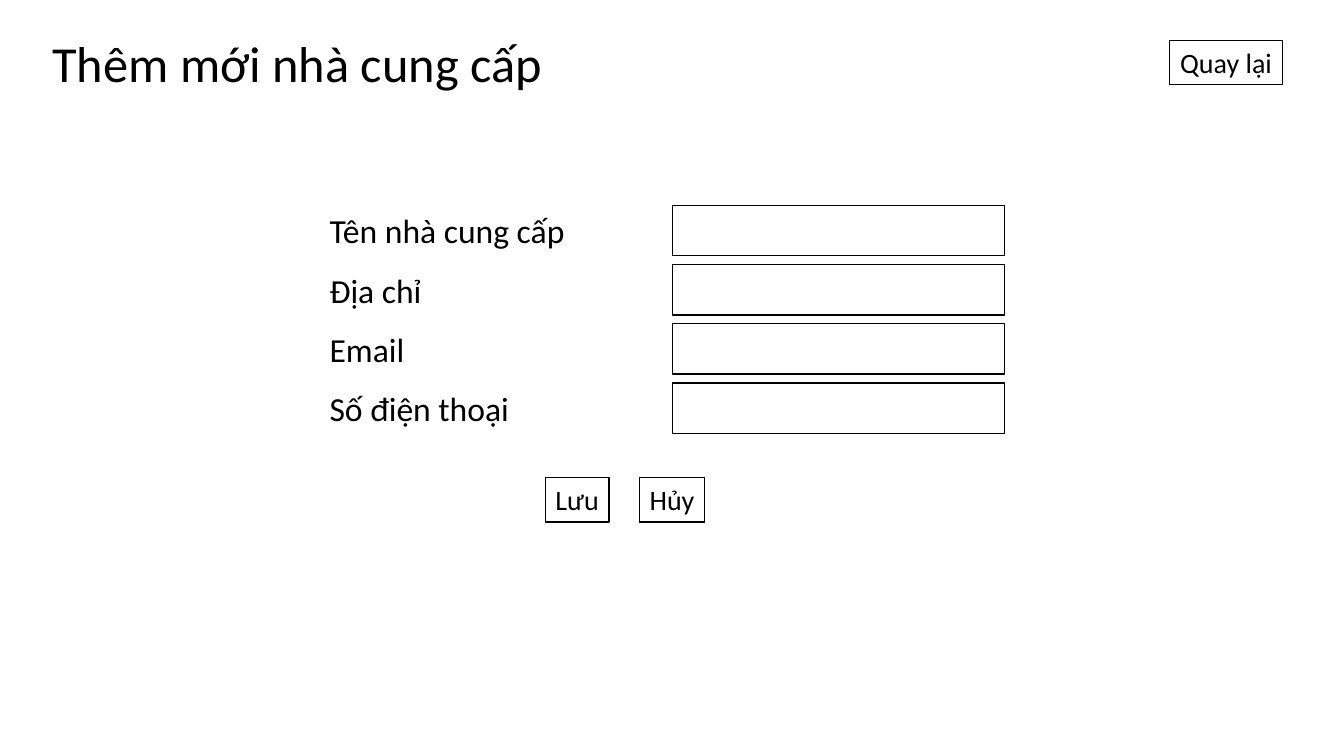
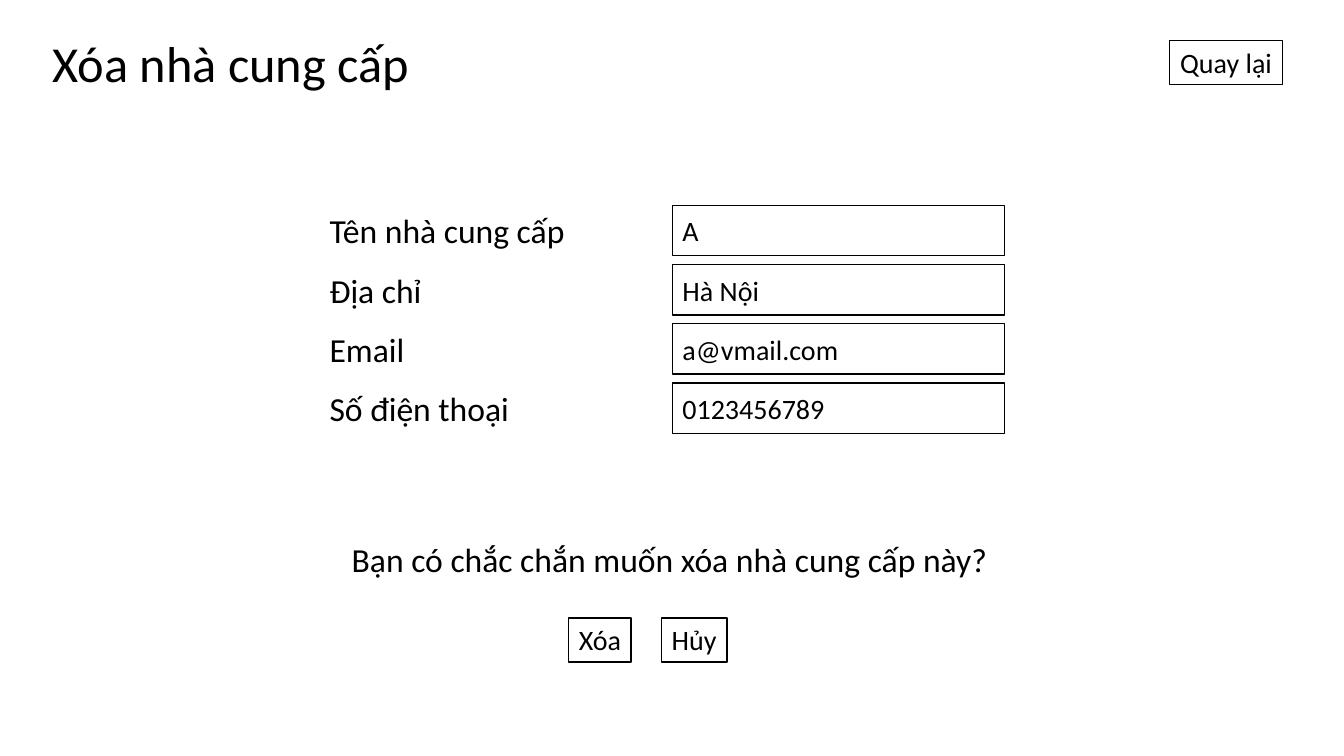
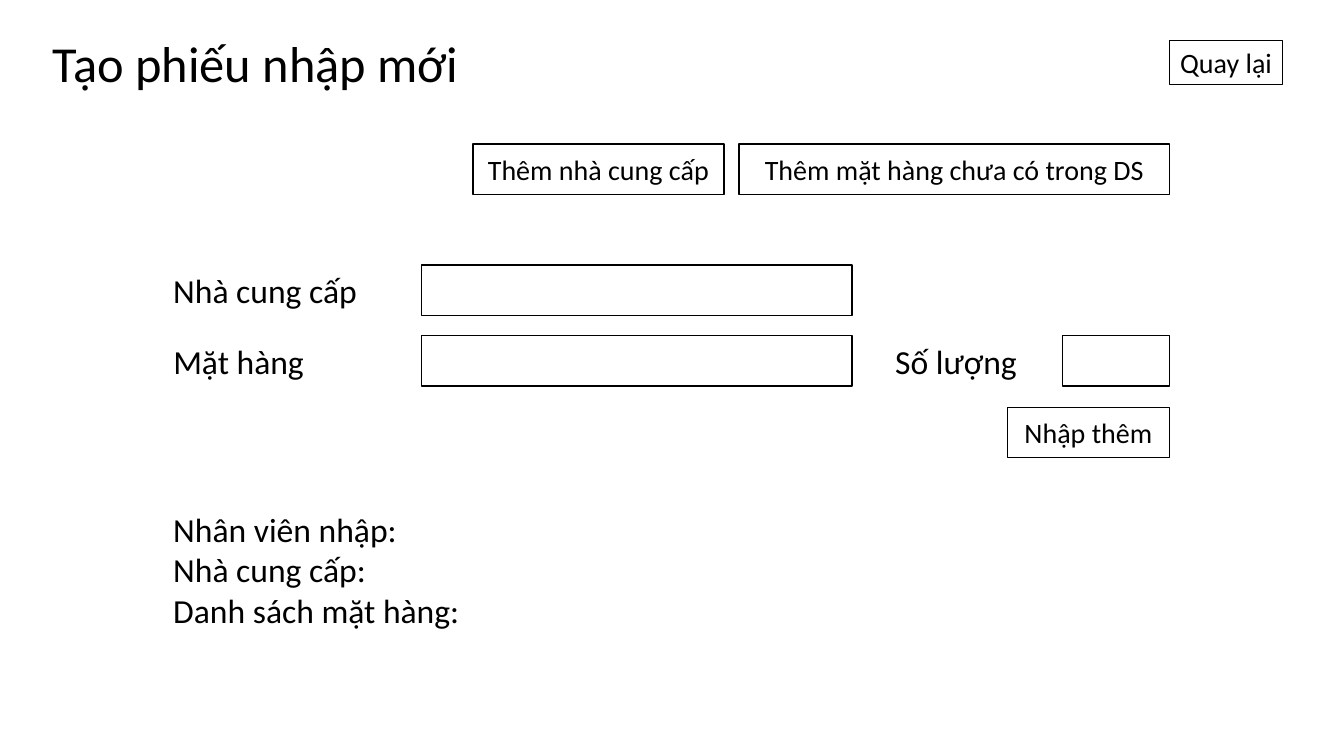
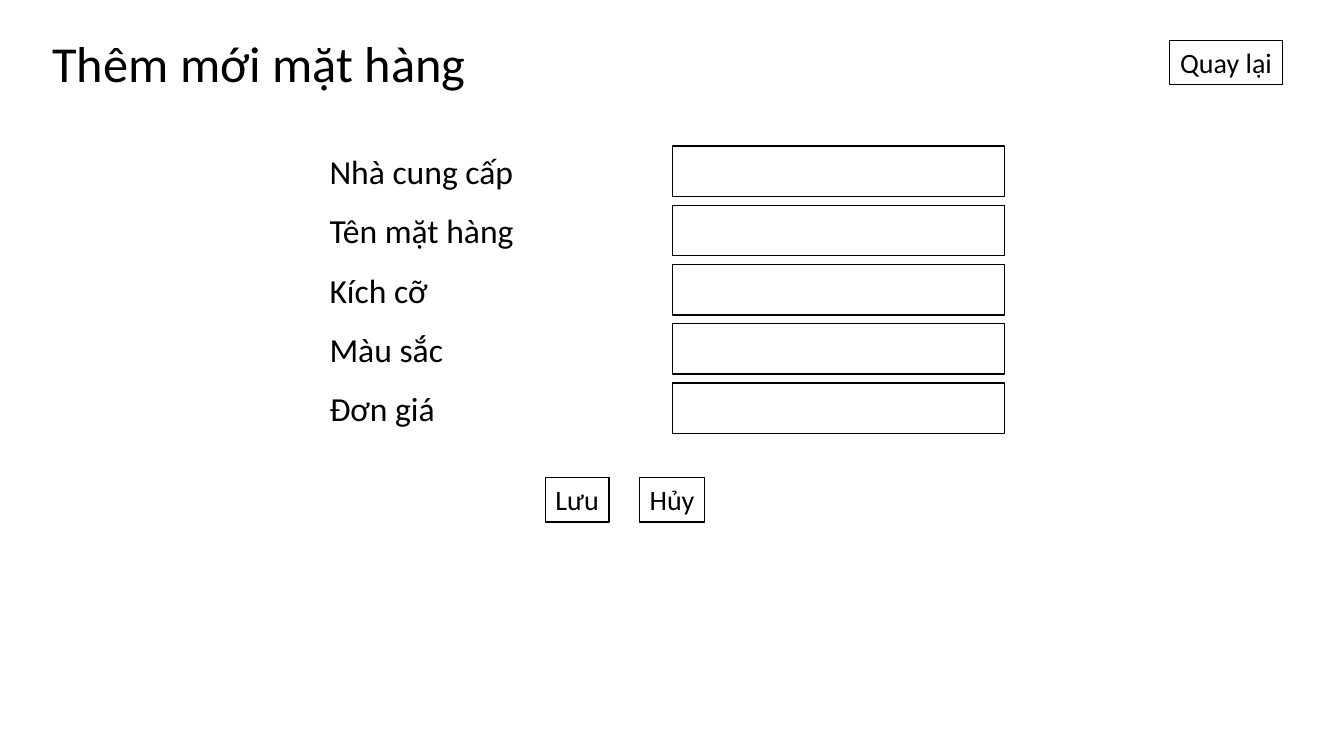
from dataclasses import dataclass
from typing import Any

from pptx import Presentation
from pptx.dml.color import RGBColor
from pptx.enum.shapes import MSO_SHAPE
from pptx.enum.text import MSO_ANCHOR, MSO_AUTO_SIZE, PP_ALIGN
from pptx.util import Inches, Pt

COLORS = {"ink": "000000", "paper": "FFFFFF"}
FONT = "Calibri"

FRAMES: dict[str, dict[str, Any]] = {
    "hug": {"word_wrap": False, "auto_size": MSO_AUTO_SIZE.SHAPE_TO_FIT_TEXT,
            "vertical_anchor": MSO_ANCHOR.TOP},
    "fixed": {"word_wrap": True, "auto_size": MSO_AUTO_SIZE.NONE,
              "vertical_anchor": MSO_ANCHOR.MIDDLE},
}
LEFT, CENTER = PP_ALIGN.LEFT, PP_ALIGN.CENTER

ROW_H = 0.5
BUTTON_H = 0.44
BUTTON_GAP = 0.3
FORM_TOP, FORM_BOTTOM, FORM_ROWS = 1.45, 3.8, 5
FORM_PITCH = (FORM_BOTTOM - FORM_TOP) / (FORM_ROWS - 1)
LABEL_X, FIELD_X, FIELD_W = 3.17, 6.67, 3.29


@dataclass(frozen=True)
class Box:
    left: float
    top: float
    width: float
    height: float = ROW_H


@dataclass(frozen=True)
class FormRow:
    label: str
    label_width: float
    value: str = ""


@dataclass(frozen=True)
class Button:
    text: str
    width: float


BACK = Button("Quay lại", 1.12)
SAVE = Button("Lưu", 0.63)
DELETE = Button("Xóa", 0.62)
CANCEL = Button("Hủy", 0.65)

SUPPLIER_ROWS = [
    FormRow("Tên nhà cung cấp", 2.56, "A"),
    FormRow("Địa chỉ", 1.12, "Hà Nội"),
    FormRow("Email", 0.95, "a@vmail.com"),
    FormRow("Số điện thoại", 2, "0123456789"),
]
PRODUCT_ROWS = [
    FormRow("Nhà cung cấp", 2.04),
    FormRow("Tên mặt hàng", 2.04),
    FormRow("Kích cỡ", 1.18),
    FormRow("Màu sắc", 1.34),
    FormRow("Đơn giá", 1.26),
]


def set_all(target: Any, values: dict[str, Any]) -> None:
    for name, value in values.items():
        setattr(target, name, value)


def rgb(name: str) -> RGBColor:
    return RGBColor.from_string(COLORS[name])


def place(box: Box) -> dict[str, Any]:
    return {"left": Inches(box.left), "top": Inches(box.top),
            "width": Inches(box.width), "height": Inches(box.height)}


def write(sp: Any, text: str, size: int, frame: str, align: Any = LEFT) -> None:
    tf = sp.text_frame
    tf.text = text
    set_all(tf, FRAMES[frame])
    for p in tf.paragraphs:
        p.alignment = align
        set_all(p.font, {"name": FONT, "size": Pt(size)})
        p.font.color.rgb = rgb("ink")


def add_label(s: Any, text: str, box: Box) -> None:
    write(s.shapes.add_textbox(**place(box)), text, 24, "hug")


def add_box(s: Any, box: Box, text: str = "", frame: str = "fixed",
            align: Any = LEFT) -> None:
    sp = s.shapes.add_shape(MSO_SHAPE.RECTANGLE, **place(box))
    sp.shadow.inherit = False
    sp.fill.solid()
    sp.fill.fore_color.rgb = rgb("paper")
    sp.line.color.rgb = rgb("ink")
    sp.line.width = Pt(1)
    if text:
        write(sp, text, 20, frame, align)


def add_buttons(s: Any, left: float, top: float, *buttons: Button) -> None:
    for b in buttons:
        add_box(s, Box(left, top, b.width, BUTTON_H), b.text, "hug", CENTER)
        left += b.width + BUTTON_GAP


def add_screen(prs: Any, title: str, width: float) -> Any:
    s = prs.slides.add_slide(prs.slide_layouts[5])
    sp = s.shapes.title
    set_all(sp, place(Box(0.42, 0.27, width, 0.71)))
    write(sp, title, 36, "hug")
    add_buttons(s, 11.6, 0.4, BACK)
    return s


def add_form(s: Any, rows: list[FormRow], filled: bool = False) -> None:
    for i, row in enumerate(rows, FORM_ROWS - len(rows)):
        top = FORM_TOP + i * FORM_PITCH
        add_label(s, row.label, Box(LABEL_X, top, row.label_width))
        add_box(s, Box(FIELD_X, top, FIELD_W), row.value if filled else "")


def add_receipt(s: Any) -> None:
    left, field_x, right, wide = 1.62, 4.18, 11.6, 4.27
    supplier_y, product_y = 2.63, 3.33
    actions = [
        ("Thêm nhà cung cấp", Box(4.69, 1.43, 2.49)),
        ("Thêm mặt hàng chưa có trong DS", Box(right - wide, 1.43, wide)),
        ("Nhập thêm", Box(right - 1.61, 4.04, 1.61)),
    ]
    labels = [
        ("Nhà cung cấp", Box(left, supplier_y, 2.04)),
        ("Mặt hàng", Box(left, product_y, 1.51)),
        ("Số lượng", Box(8.78, product_y, 1.42)),
        ("Nhân viên nhập:\nNhà cung cấp:\nDanh sách mặt hàng:",
         Box(left, 5, 3.06, 1.31)),
    ]
    fields = [Box(field_x, supplier_y, wide), Box(field_x, product_y, wide),
              Box(right - 1.06, product_y, 1.06)]
    for text, box in actions:
        add_box(s, box, text, align=CENTER)
    for text, box in labels:
        add_label(s, text, box)
    for box in fields:
        add_box(s, box)


def main() -> None:
    prs = Presentation()
    set_all(prs, {"slide_width": Inches(13.33), "slide_height": Inches(7.5)})

    s = add_screen(prs, "Thêm mới nhà cung cấp", 5.1)
    add_form(s, SUPPLIER_ROWS)
    add_buttons(s, 5.41, 4.74, SAVE, CANCEL)

    s = add_screen(prs, "Xóa nhà cung cấp", 3.77)
    add_form(s, SUPPLIER_ROWS, filled=True)
    add_label(s, "Bạn có chắc chắn muốn xóa nhà cung cấp này?", Box(3.39, 5.3, 6.56))
    add_buttons(s, 5.64, 6.13, DELETE, CANCEL)

    s = add_screen(prs, "Tạo phiếu nhập mới", 4.27)
    add_receipt(s)

    s = add_screen(prs, "Thêm mới mặt hàng", 4.34)
    add_form(s, PRODUCT_ROWS)
    add_buttons(s, 5.41, 4.74, SAVE, CANCEL)

    prs.save("out.pptx")


if __name__ == "__main__":
    main()
